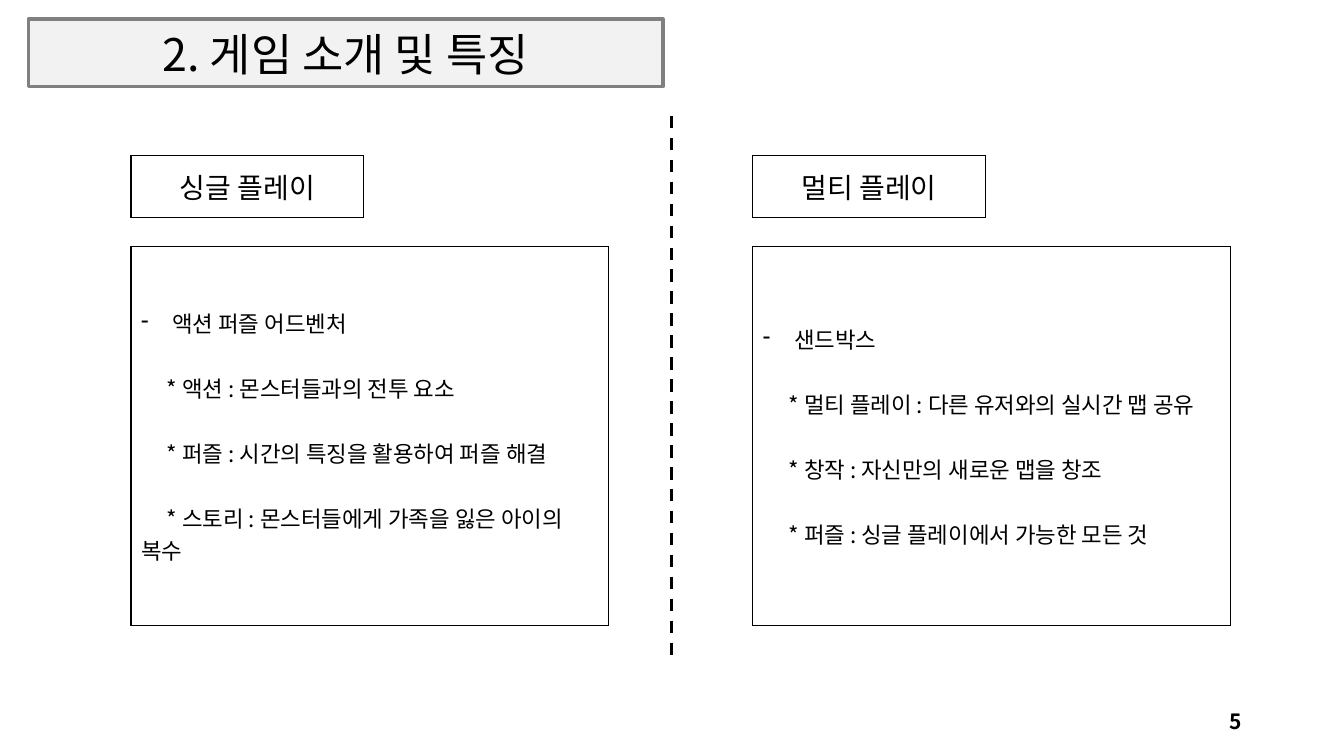
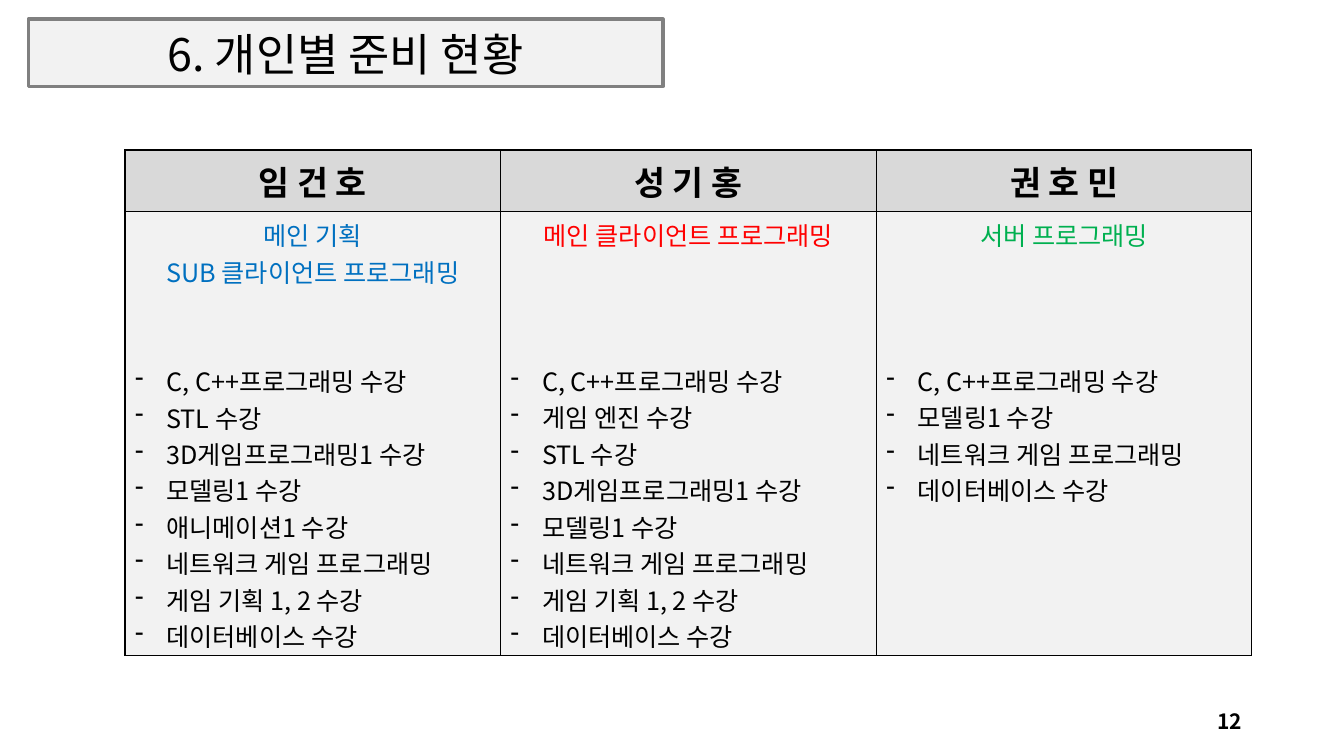
from dataclasses import dataclass

from lxml.etree import SubElement
from pptx import Presentation
from pptx.dml.color import RGBColor
from pptx.enum.dml import MSO_LINE
from pptx.enum.shapes import MSO_CONNECTOR
from pptx.enum.text import MSO_ANCHOR, MSO_AUTO_SIZE, PP_ALIGN
from pptx.oxml.ns import qn
from pptx.util import Cm, Pt

FONT = "Noto Sans CJK KR"
BLACK, WHITE, BAND, BAND_LINE, HEADER = "000000", "FFFFFF", "F2F2F2", "808080", "D9D9D9"
BLUE, RED, GREEN = "0070C0", "FF0000", "00B050"
TITLE_BOX = (0.71, 0.48, 16, 1.7)
NUMBER_BOX = (23.93, 17.65, 7.62, 1.02)
HANGING = 0.79
ROLE_LINES = 4
ROLE_LINE_HEIGHT = 26

PLAY_MODES = [
    ("싱글 플레이", "액션 퍼즐 어드벤처", [
        "액션 : 몬스터들과의 전투 요소",
        "퍼즐 : 시간의 특징을 활용하여 퍼즐 해결",
        "스토리 : 몬스터들에게 가족을 잃은 아이의 복수",
    ]),
    ("멀티 플레이", "샌드박스", [
        "멀티 플레이 : 다른 유저와의 실시간 맵 공유",
        "창작 : 자신만의 새로운 맵을 창조",
        "퍼즐 : 싱글 플레이에서 가능한 모든 것",
    ]),
]

CPP, STL, GRAPHICS = "C, C++프로그래밍 수강", "STL 수강", "3D게임프로그래밍1 수강"
MODELING, NETWORK = "모델링1 수강", "네트워크 게임 프로그래밍"
DESIGN, DATABASE = "게임 기획 1, 2 수강", "데이터베이스 수강"
MEMBERS = [
    ("임 건 호", BLUE, ["메인 기획", "SUB 클라이언트 프로그래밍"],
     [CPP, STL, GRAPHICS, MODELING, "애니메이션1 수강", NETWORK, DESIGN, DATABASE]),
    ("성 기 홍", RED, ["메인 클라이언트 프로그래밍"],
     [CPP, "게임 엔진 수강", STL, GRAPHICS, MODELING, NETWORK, DESIGN, DATABASE]),
    ("권 호 민", GREEN, ["서버 프로그래밍"], [CPP, MODELING, NETWORK, DATABASE]),
]


@dataclass
class Line:
    """One paragraph of text and its look."""
    text: str
    size: float
    color: str = BLACK
    bold: bool = False
    align: PP_ALIGN = PP_ALIGN.LEFT
    before: float = 0
    first_indent: float = 0
    bullet: bool = False


def rgb(value):
    """Turn a hex string into a colour."""
    return RGBColor.from_string(value)


def write(text_frame, lines):
    """Fill a text frame with lines, one paragraph each."""
    for index, line in enumerate(lines):
        paragraph = text_frame.add_paragraph() if index else text_frame.paragraphs[0]
        paragraph.alignment = line.align
        paragraph.space_before = Pt(line.before)
        properties = paragraph._p.get_or_add_pPr()
        properties.set("marL", str(Cm(HANGING if line.bullet else 0)))
        properties.set("indent", str(Cm(-HANGING if line.bullet else line.first_indent)))
        if line.bullet:
            SubElement(properties, qn("a:buChar"), char="-")
        run = paragraph.add_run()
        run.text = line.text
        font = run.font
        font.name, font.size, font.bold = FONT, Pt(line.size), line.bold
        font.color.rgb = rgb(line.color)
        SubElement(run._r.get_or_add_rPr(), qn("a:ea"), typeface=FONT)


def format_cell(cell, fill, lines, anchor=MSO_ANCHOR.MIDDLE):
    """Give a cell thin black borders, a fill and its text."""
    properties = cell._tc.get_or_add_tcPr()
    for side in ("lnL", "lnR", "lnT", "lnB"):
        border = SubElement(properties, qn(f"a:{side}"), w=str(Pt(1)))
        SubElement(SubElement(border, qn("a:solidFill")), qn("a:srgbClr"), val=BLACK)
    cell.fill.solid()
    cell.fill.fore_color.rgb = rgb(fill)
    cell.vertical_anchor = anchor
    write(cell.text_frame, lines)


def add_plain_table(slide, left, top, width, row_heights, columns):
    """Add an unbanded table with equal columns."""
    table = slide.shapes.add_table(len(row_heights), columns, Cm(left), Cm(top),
                                   Cm(width), Cm(sum(row_heights))).table
    table.first_row = table.horz_banding = False
    for column in table.columns:
        column.width = Cm(width / columns)
    for row, height in zip(table.rows, row_heights):
        row.height = Cm(height)
    return table


def add_titled_slide(presentation, title_text, number):
    """Add a slide with the title band and the page number."""
    slide = presentation.slides.add_slide(presentation.slide_layouts[5])
    title = slide.shapes.title
    title.left, title.top, title.width, title.height = map(Cm, TITLE_BOX)
    title.fill.solid()
    title.fill.fore_color.rgb = rgb(BAND)
    title.line.color.rgb = rgb(BAND_LINE)
    title.line.width = Pt(2.25)
    title.text_frame.auto_size = MSO_AUTO_SIZE.NONE
    title.text_frame.vertical_anchor = MSO_ANCHOR.BOTTOM
    write(title.text_frame, [Line(title_text, 32, align=PP_ALIGN.CENTER)])
    title.text_frame.paragraphs[0].line_spacing = 0.9

    page_number = slide.shapes.add_textbox(*map(Cm, NUMBER_BOX)).text_frame
    page_number.word_wrap = True
    page_number.vertical_anchor = MSO_ANCHOR.MIDDLE
    write(page_number, [Line(str(number), 15, bold=True, align=PP_ALIGN.RIGHT)])
    return slide


def add_divider(slide, x, top, bottom):
    """Draw the dashed vertical divider."""
    divider = slide.shapes.add_connector(MSO_CONNECTOR.STRAIGHT, Cm(x), Cm(top), Cm(x), Cm(bottom))
    divider.line.color.rgb = rgb(BLACK)
    divider.line.width = Pt(2.25)
    divider.line.dash_style = MSO_LINE.DASH
    SubElement(divider._element.spPr, qn("a:effectLst"))


def add_play_mode(slide, left, top, width, mode):
    """Place a mode's label and its description box below it."""
    name, genre, features = mode
    description = [Line(genre, 16, bullet=True)]
    description += [Line(f"* {feature}", 16, before=23.2, first_indent=0.65) for feature in features]
    body = add_plain_table(slide, left, top + 2.31, width, [9.55], 1)
    format_cell(body.cell(0, 0), WHITE, description)
    label = add_plain_table(slide, left, top, 5.87, [1.57], 1)
    format_cell(label.cell(0, 0), WHITE, [Line(name, 20, align=PP_ALIGN.CENTER)])


def add_member_table(slide, left, top, width):
    """Place the table of members, roles and courses."""
    table = add_plain_table(slide, left, top, width, [1.55, 11.18], len(MEMBERS))
    for column, (name, color, roles, courses) in enumerate(MEMBERS):
        format_cell(table.cell(0, column), HEADER,
                    [Line(name, 24, bold=True, align=PP_ALIGN.CENTER)])
        lines = [Line(role, 18, color, align=PP_ALIGN.CENTER) for role in roles]
        lines += [Line(course, 18, bullet=True) for course in courses]
        lines[len(roles)].before = (ROLE_LINES - len(roles)) * ROLE_LINE_HEIGHT
        format_cell(table.cell(1, column), BAND, lines, MSO_ANCHOR.TOP)


def main():
    """Build and save the presentation."""
    presentation = Presentation()
    presentation.slide_width, presentation.slide_height = Cm(33.87), Cm(19.05)

    features = add_titled_slide(presentation, "2. 게임 소개 및 특징", 5)
    add_divider(features, 16.93, 2.92, 16.61)
    for left, mode in zip((3.3, 18.97), PLAY_MODES):
        add_play_mode(features, left, 3.91, 12.04, mode)

    progress = add_titled_slide(presentation, "6. 개인별 준비 현황", 12)
    add_member_table(progress, 3.15, 3.78, 28.4)

    presentation.save("out.pptx")


if __name__ == "__main__":
    main()
